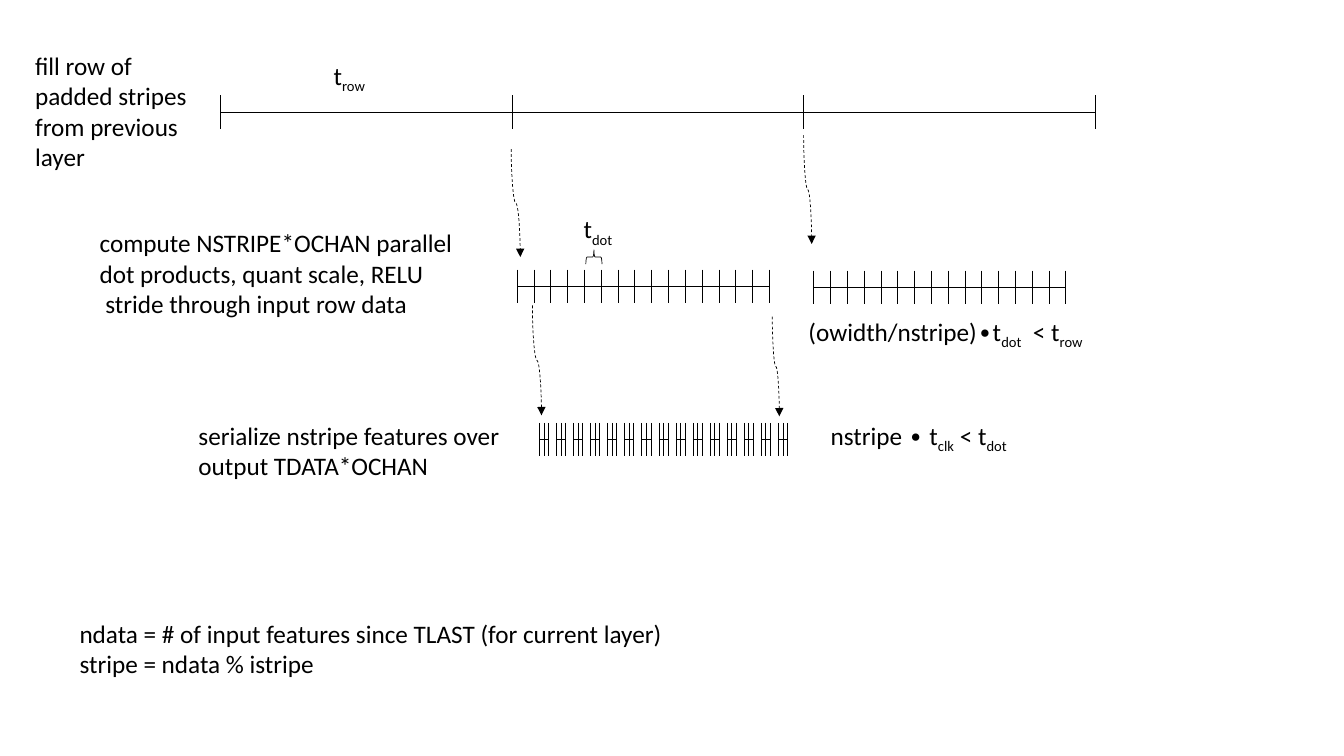
from dataclasses import dataclass

from lxml import etree
from pptx import Presentation
from pptx.dml.color import RGBColor
from pptx.enum import dml, shapes, text
from pptx.oxml.ns import qn
from pptx.util import Inches, Pt


@dataclass(frozen=True)
class Theme:
    font: str = "Calibri"
    size: float = 18
    ink: RGBColor = RGBColor(0, 0, 0)
    rule: float = 0.5
    tick: float = 0.33


@dataclass(frozen=True)
class Label:
    """Text block; the odd pieces between bars are subscripts."""
    left: float
    top: float
    width: float
    height: float
    lines: tuple[str, ...]


@dataclass(frozen=True)
class Ruler:
    left: float
    right: float
    mid: float
    ticks: int


@dataclass(frozen=True)
class Flow:
    left: float
    top: float
    right: float
    bottom: float


THEME = Theme()

LABELS = (
    Label(0.25, 0.45, 1.72, 1.31,
          ("fill row of", "padded stripes", "from previous", "layer")),
    Label(0.89, 2.21, 3.73, 1.01,
          ("compute NSTRIPE*OCHAN parallel", "dot products, quant scale, RELU",
           " stride through input row data")),
    Label(3.21, 0.55, 0.55, 0.4, ("t|row",)),
    Label(5.69, 2.07, 0.52, 0.4, ("t|dot",)),
    Label(7.92, 3.09, 2.98, 0.4, ("(owidth/nstripe)∙t|dot|  < t|row",)),
    Label(1.87, 4.12, 3.22, 0.71,
          ("serialize nstripe features over", "output TDATA*OCHAN")),
    Label(8.14, 4.12, 1.98, 0.4, ("nstripe ∙ t|clk| < t|dot",)),
    Label(0.69, 6.08, 6.05, 0.71,
          ("ndata = # of input features since TLAST (for current layer)",
           "stripe = ndata % istripe")),
)

ROWS = Ruler(2.19, 10.86, 1.11, 4)
DOTS = (Ruler(5.13, 7.63, 2.84, 16), Ruler(8.07, 10.57, 2.85, 16))
CLOCKS = 15
FIRST, LAST, SPAN = 5.35, 7.72, 0.09
PITCH = (LAST - FIRST) / (CLOCKS - 1)
BURSTS = tuple(Ruler(FIRST + i * PITCH, FIRST + i * PITCH + SPAN, 4.36, 3)
               for i in range(CLOCKS))

FLOWS = (
    Flow(5.07, 1.48, 5.16, 2.55),
    Flow(5.28, 3.03, 5.37, 4.12),
    Flow(7.66, 3.14, 7.73, 4.13),
    Flow(7.97, 1.34, 8.05, 2.42),
)


def add_line(tree, kind, x1: float, y1: float, x2: float, y2: float):
    line = tree.add_connector(kind, Inches(x1), Inches(y1), Inches(x2), Inches(y2))
    line.line.color.rgb = THEME.ink
    line.line.width = Pt(THEME.rule)
    etree.SubElement(line._element.spPr, qn("a:effectLst"))
    return line


def add_ruler(tree, ruler: Ruler) -> None:
    kind = shapes.MSO_CONNECTOR.STRAIGHT
    add_line(tree, kind, ruler.left, ruler.mid, ruler.right, ruler.mid)
    step = (ruler.right - ruler.left) / (ruler.ticks - 1)
    half = THEME.tick / 2
    for i in range(ruler.ticks):
        x = ruler.left + i * step
        add_line(tree, kind, x, ruler.mid - half, x, ruler.mid + half)


def add_flow(tree, flow: Flow) -> None:
    """Draw a dashed curve that leaves downward: a flat one turned by 270 degrees."""
    x, y = (flow.left + flow.right) / 2, (flow.top + flow.bottom) / 2
    long, thin = (flow.bottom - flow.top) / 2, (flow.right - flow.left) / 2
    curve = add_line(tree, shapes.MSO_CONNECTOR.CURVE,
                     x + long, y - thin, x - long, y + thin)
    curve._element.spPr.find(qn("a:xfrm")).set("rot", str(270 * 60000))
    curve.line.dash_style = dml.MSO_LINE.DASH
    etree.SubElement(curve.line._get_or_add_ln(), qn("a:tailEnd"), type="triangle")


def add_label(tree, label: Label) -> None:
    box = tree.add_textbox(Inches(label.left), Inches(label.top),
                           Inches(label.width), Inches(label.height))
    frame = box.text_frame
    frame.text = "\n".join(line.split("|")[0] for line in label.lines)
    frame.word_wrap = False
    frame.auto_size = text.MSO_AUTO_SIZE.SHAPE_TO_FIT_TEXT
    for para, line in zip(frame.paragraphs, label.lines):
        for piece in line.split("|")[1:]:
            para.add_run().text = piece
        for i, run in enumerate(para.runs):
            run.font.name = THEME.font
            run.font.size = Pt(THEME.size)
            run.font.color.rgb = THEME.ink
            if i % 2:
                run._r.get_or_add_rPr().set("baseline", "-25000")


def add_brace(tree) -> None:
    brace = tree.add_shape(shapes.MSO_SHAPE.LEFT_BRACE, Inches(5.82), Inches(2.47),
                           Inches(0.14), Inches(0.16))
    brace.rotation = 90
    brace.shadow.inherit = False
    brace.fill.background()
    brace.line.color.rgb = THEME.ink
    brace.line.width = Pt(THEME.rule)


def main() -> None:
    deck = Presentation()
    deck.slide_width, deck.slide_height = Inches(13.33), Inches(7.5)
    tree = deck.slides.add_slide(deck.slide_layouts[6]).shapes
    add_ruler(tree, ROWS)
    for group in ((DOTS[0],), (DOTS[1],), BURSTS):
        inner = tree.add_group_shape().shapes
        for ruler in group:
            add_ruler(inner, ruler)
    add_brace(tree)
    for flow in FLOWS:
        add_flow(tree, flow)
    for label in LABELS:
        add_label(tree, label)
    deck.save("out.pptx")


if __name__ == "__main__":
    main()
